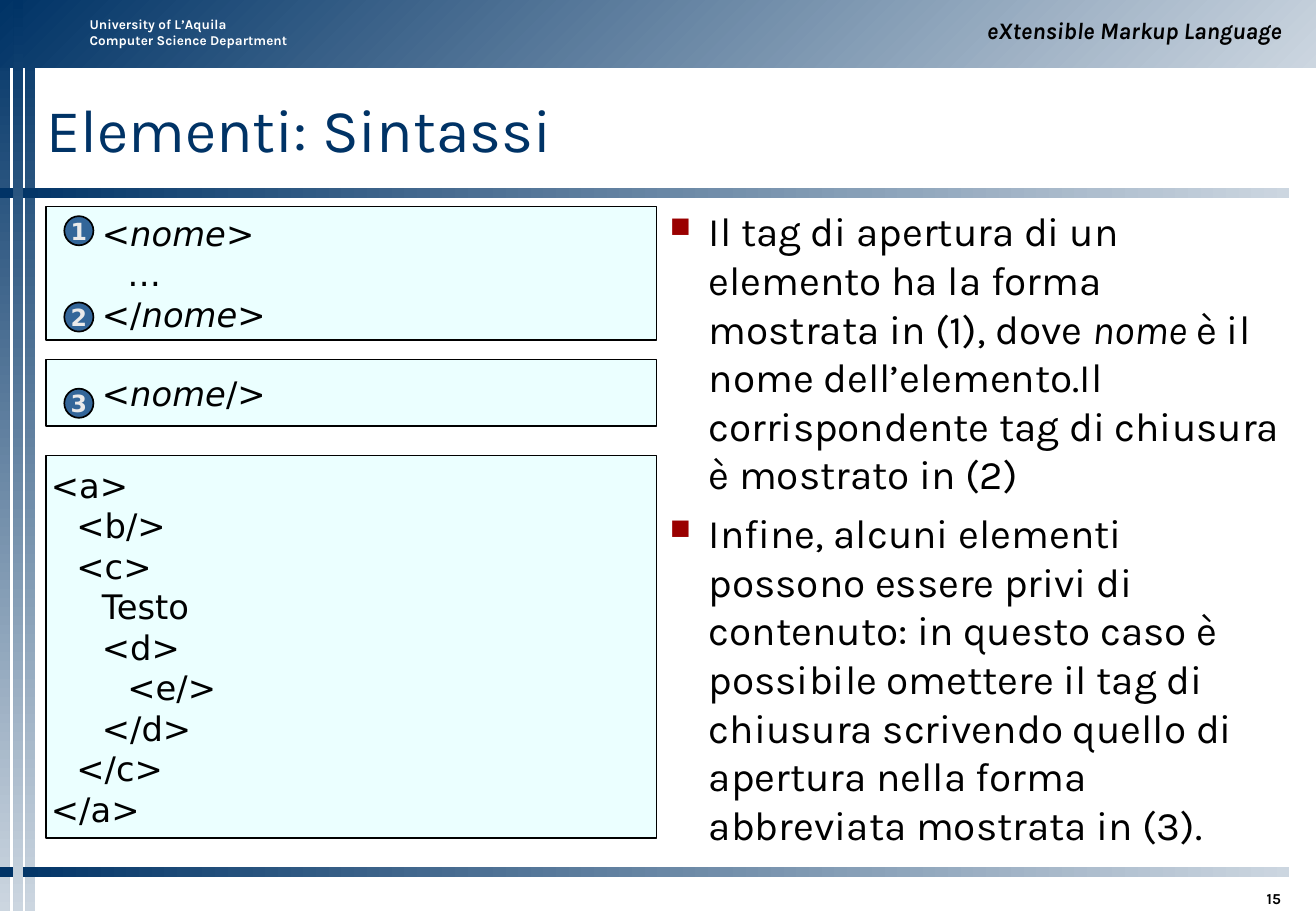
"""Build the lecture slide on the syntax of XML elements."""
from lxml.etree import SubElement
from pptx import Presentation
from pptx.dml.color import RGBColor
from pptx.enum.shapes import MSO_SHAPE
from pptx.enum.text import MSO_ANCHOR, PP_ALIGN
from pptx.oxml.ns import qn
from pptx.util import Inches, Pt

COLORS = {
    "navy": "003366", "mist": "CCD6E0", "white": "FFFFFF", "black": "000000",
    "code": "EBFFFF", "badge": "336699", "digit": "EAEAEA", "bullet": "9A0000",
}
TAB_STEP = 0.21
BULLET_INDENT = 0.32
CODE_LEFT, CODE_WIDTH = 0.38, 5.03

OPENING_AND_CLOSING = [(2, "<*nome*>"), (3, "…"), (2, "</*nome*>")]
EMPTY_ELEMENT = [(2, "<*nome*/>")]
NESTED_EXAMPLE = [
    (0, "<a>"), (1, "<b/>"), (1, "<c>"), (2, "Testo"), (2, "<d>"),
    (3, "<e/>"), (2, "</d>"), (1, "</c>"), (0, "</a>"),
]
EXPLANATIONS = [
    "Il tag di apertura di un elemento ha la forma mostrata in (1), dove *nome* è il "
    "nome dell’elemento.Il corrispondente tag di chiusura è mostrato in (2)",
    "Infine, alcuni elementi possono essere privi di contenuto: in questo caso è "
    "possibile omettere il tag di chiusura scrivendo quello di apertura nella forma "
    "abbreviata mostrata in (3).",
]


def rgb(name):
    """Return the named colour."""
    return RGBColor.from_string(COLORS[name])


def apply(target, values):
    """Set every attribute listed in a dict of format values."""
    for name, value in values.items():
        setattr(target, name, value)


def set_frame(frame, insets, anchor=MSO_ANCHOR.TOP, wrap=True):
    """Set insets (left, top, right, bottom), anchor and wrapping."""
    sides = ("margin_left", "margin_top", "margin_right", "margin_bottom")
    apply(frame, dict(zip(sides, map(Inches, insets))))
    apply(frame, {"vertical_anchor": anchor, "word_wrap": wrap})


def write_line(para, text, color, font):
    """Write a line in which *stars* enclose italics and newlines break it."""
    for index, part in enumerate(text.split("*")):
        for row, words in enumerate(part.split("\n")):
            if row:
                para.add_line_break()
            span = para.add_run()
            span.text = words
            apply(span.font, {"italic": index % 2 == 1, **font})
            span.font.color.rgb = rgb(color)


def next_paragraph(frame, index):
    """Return the first paragraph of a frame, or add another."""
    return frame.add_paragraph() if index else frame.paragraphs[0]


def set_bullet(para):
    """Give a paragraph a small square bullet with a hanging indent."""
    properties = para._p.get_or_add_pPr()
    properties.set("marL", str(Inches(BULLET_INDENT)))
    properties.set("indent", str(-Inches(BULLET_INDENT)))
    color = SubElement(properties, qn("a:buClr"))
    SubElement(color, qn("a:srgbClr"), val=COLORS["bullet"])
    SubElement(properties, qn("a:buSzPct"), val="70000")
    SubElement(properties, qn("a:buChar"), char="■")


def add_label(page, area, text, color, font, insets,
              anchor=MSO_ANCHOR.TOP, align=PP_ALIGN.LEFT, wrap=True):
    """Add a text box with one paragraph."""
    box = page.shapes.add_textbox(*map(Inches, area))
    set_frame(box.text_frame, insets, anchor, wrap)
    para = box.text_frame.paragraphs[0]
    para.alignment = align
    write_line(para, text, color, {"name": "Karla", **font})


def add_band(page, area, angle):
    """Add a borderless band that fades from navy to mist."""
    band = page.shapes.add_shape(MSO_SHAPE.RECTANGLE, *map(Inches, area))
    band.shadow.inherit = False
    band.line.fill.background()
    band.fill.gradient()
    band.fill.gradient_angle = angle
    for stop, name in zip(band.fill.gradient_stops, ("navy", "mist")):
        stop.color.rgb = rgb(name)


def add_outlined(page, kind, area, fill):
    """Add a filled shape with a thin black outline."""
    shape = page.shapes.add_shape(kind, *map(Inches, area))
    shape.shadow.inherit = False
    shape.fill.solid()
    shape.fill.fore_color.rgb = rgb(fill)
    shape.line.color.rgb = rgb("black")
    shape.line.width = Pt(1)
    return shape


def add_code(page, top, height, lines):
    """Add a code panel whose lines are indented by their depth."""
    area = (CODE_LEFT, top, CODE_WIDTH, height)
    frame = add_outlined(page, MSO_SHAPE.RECTANGLE, area, "code").text_frame
    set_frame(frame, (0.04,) * 4, MSO_ANCHOR.MIDDLE)
    for index, (depth, text) in enumerate(lines):
        para = next_paragraph(frame, index)
        para.alignment = PP_ALIGN.LEFT
        para._p.get_or_add_pPr().set("marL", str(Inches(depth * TAB_STEP)))
        write_line(para, text, "black", {"name": "DejaVu Sans", "size": Pt(20)})


def add_badge(page, number):
    """Add a numbered circle beside its code line."""
    area = (0.53, 1.78 + 0.71 * (number - 1), 0.24, 0.24)
    frame = add_outlined(page, MSO_SHAPE.OVAL, area, "badge").text_frame
    set_frame(frame, (0,) * 4, MSO_ANCHOR.MIDDLE, wrap=False)
    para = frame.paragraphs[0]
    para.alignment = PP_ALIGN.CENTER
    write_line(para, str(number), "digit",
               {"name": "DejaVu Sans", "size": Pt(14), "bold": True})


def add_explanations(page):
    """Add the bulleted explanations."""
    box = page.shapes.add_textbox(*map(Inches, (5.42, 1.7, 5.24, 5.42)))
    set_frame(box.text_frame, (0.1, 0, 0.1, 0))
    for index, text in enumerate(EXPLANATIONS):
        para = next_paragraph(box.text_frame, index)
        para.space_before = Pt(6)
        set_bullet(para)
        write_line(para, text, "black", {"name": "Karla", "size": Pt(24)})


def add_frame(page):
    """Add the bands, header texts and slide number."""
    for left in (0, 0.21):
        add_band(page, (left, 0, 0.08, 7.5), 270)
    add_band(page, (0, 0, 10.84, 0.56), 315)
    for top in (1.55, 7.14):
        add_band(page, (0, top, 10.62, 0.08), 0)
    add_band(page, (0.11, 0, 0.08, 7.5), 270)
    add_label(page, (0.64, 0.08, 2.01, 0.37),
              "University of L’Aquila\nComputer Science Department", "white",
              {"size": Pt(8), "bold": True}, (0.1, 0.05, 0.1, 0.05))
    add_label(page, (9.47, 7.22, 1.18, 0.25), "15", "black",
              {"size": Pt(9), "bold": True}, (0.1, 0.05, 0.1, 0),
              MSO_ANCHOR.BOTTOM, PP_ALIGN.RIGHT, wrap=False)
    add_label(page, (5.42, 0.08, 5.24, 0.33), "eXtensible Markup Language", "black",
              {"size": Pt(14), "bold": True, "italic": True},
              (0.1, 0.05, 0.1, 0.05), MSO_ANCHOR.BOTTOM, PP_ALIGN.RIGHT)


def main():
    """Build and save the deck."""
    deck = Presentation()
    apply(deck, {"slide_width": Inches(10.84), "slide_height": Inches(7.5)})
    page = deck.slides.add_slide(deck.slide_layouts[6])
    add_frame(page)
    add_label(page, (0.38, 0.58, 10.27, 0.96), "Elementi: Sintassi", "navy",
              {"size": Pt(36)}, (0,) * 4, MSO_ANCHOR.MIDDLE)
    add_explanations(page)
    add_code(page, 1.7, 1.1, OPENING_AND_CLOSING)
    add_code(page, 2.96, 0.55, EMPTY_ELEMENT)
    add_code(page, 3.75, 3.15, NESTED_EXAMPLE)
    for number in (1, 2, 3):
        add_badge(page, number)
    deck.save("out.pptx")


if __name__ == "__main__":
    main()
